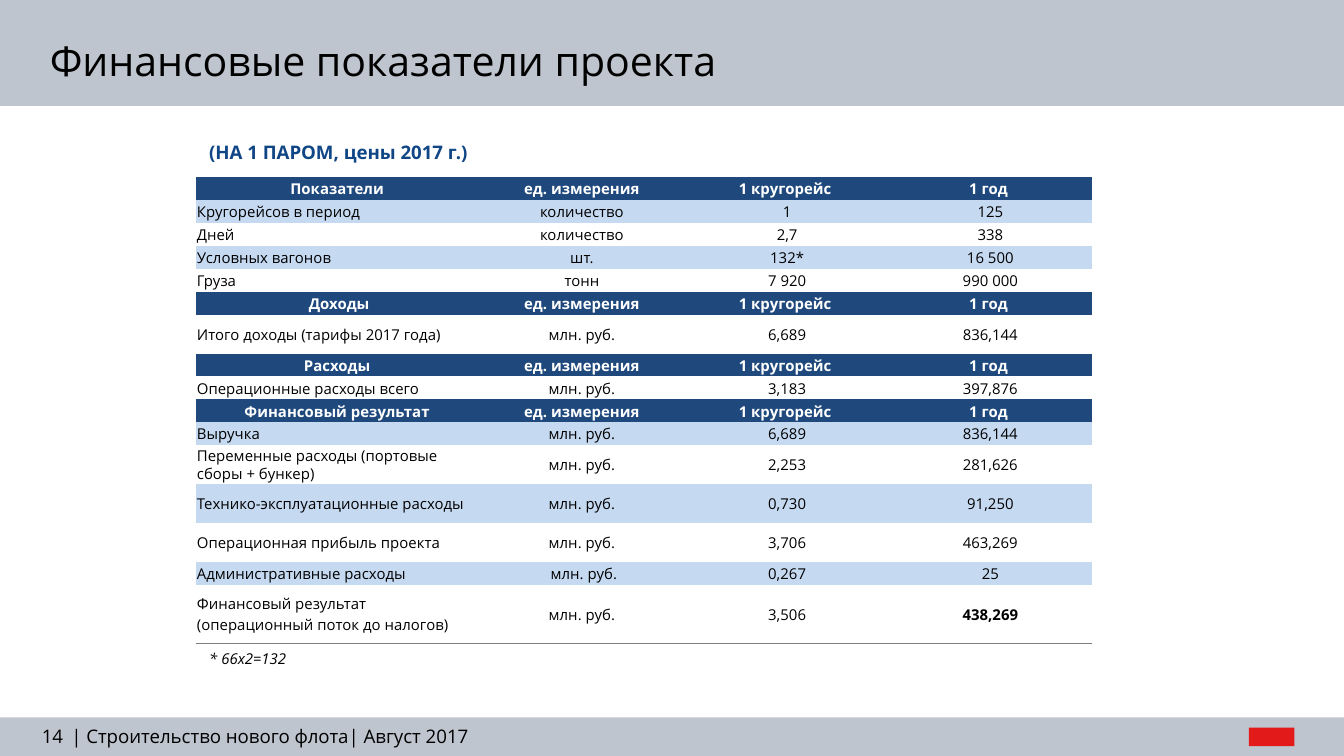
from dataclasses import dataclass

from lxml import etree
from pptx import Presentation
from pptx.dml.color import RGBColor
from pptx.enum.shapes import MSO_SHAPE
from pptx.enum.text import MSO_ANCHOR, PP_ALIGN
from pptx.oxml.ns import qn
from pptx.util import Pt

RECTANGLE = MSO_SHAPE.RECTANGLE
LEFT, CENTER, RIGHT = PP_ALIGN.LEFT, PP_ALIGN.CENTER, PP_ALIGN.RIGHT
TOP, MIDDLE = MSO_ANCHOR.TOP, MSO_ANCHOR.MIDDLE
PLAIN_TABLE_STYLE = "{2D5ABB26-0587-4C30-8999-92F81FD0307C}"


@dataclass(frozen=True)
class Theme:
    font: str = "Open Sans"
    ink: str = "000000"
    white: str = "FFFFFF"
    bar: str = "BFC5CE"
    accent: str = "E21A1A"
    caption: str = "104685"
    header: str = "1F497D"
    band: str = "C5D9F1"
    rule: str = "7F7F7F"
    title_size: float = 22
    body_size: float = 10
    table_size: float = 8
    tight_spacing: float = 0.9


THEME = Theme()
LOW, TALL, TALLEST = 12.3, 20.85, 31.3
COLUMN_WIDTHS = (153.4, 108.9, 108.9, 108.9)
HEADINGS = ("ед. измерения ", "1 кругорейс ", "1 год ")
MONEY = "млн. руб. "

# Each section: heading, then rows of (height, banded, cell texts).
SECTIONS = (
    ("Показатели ", (
        (LOW, True, ("Кругорейсов в период", "количество ", "1", "125")),
        (LOW, False, ("Дней", "количество ", "2,7", "338")),
        (LOW, True, ("Условных вагонов", "шт. ", "132*", "16 500")),
        (LOW, False, ("Груза", "тонн ", "7 920", "990 000")),
    )),
    ("Доходы", (
        (TALL, False, ("Итого доходы (тарифы 2017 года)", MONEY, "6,689", "836,144")),
    )),
    ("Расходы ", (
        (LOW, False, ("Операционные расходы всего", MONEY, "3,183", "397,876")),
    )),
    ("Финансовый результат ", (
        (LOW, True, ("Выручка", MONEY, "6,689", "836,144")),
        (TALL, False, ("Переменные расходы (портовые сборы + бункер)", MONEY,
                       "2,253", "281,626")),
        (TALL, True, ("Технико-эксплуатационные расходы", MONEY, "0,730", "91,250")),
        (TALL, False, ("Операционная прибыль проекта", MONEY, "3,706", "463,269")),
        (LOW, True, ("Административные расходы", "млн. руб.", "0,267", "25")),
        (TALLEST, False, ("Финансовый результат (операционный поток до налогов)", MONEY,
                          "3,506", "438,269")),
    )),
)


def write(para, text, size, color=THEME.ink, align=LEFT, spacing=None, **formats):
    para.alignment = align
    para.line_spacing = spacing
    span = para.add_run()
    span.text = text
    span.font.color.rgb = RGBColor.from_string(color)
    for name, value in {"name": THEME.font, "size": Pt(size), **formats}.items():
        setattr(span.font, name, value)


def add_block(page, box, color):
    block = page.shapes.add_shape(RECTANGLE, *map(Pt, box))
    block.shadow.inherit = False
    block.fill.solid()
    block.fill.fore_color.rgb = RGBColor.from_string(color)
    block.line.fill.background()


def add_text(page, box, text, size, margins=(7.2, 3.6), anchor=MIDDLE, wrap=True, **formats):
    """Place one line of text; margins are the side and the top/bottom insets."""
    frame = page.shapes.add_textbox(*map(Pt, box)).text_frame
    side, edge = map(Pt, margins)
    settings = {"word_wrap": wrap, "vertical_anchor": anchor, "margin_left": side,
                "margin_right": side, "margin_top": edge, "margin_bottom": edge}
    for name, value in settings.items():
        setattr(frame, name, value)
    write(frame.paragraphs[0], text, size, **formats)


def add_header(page, box):
    left, top, width, height = box
    add_block(page, box, THEME.bar)
    add_text(page, (left + 19.6, top, width - 45, height + 8), "Финансовые показатели проекта",
             THEME.title_size)


def add_footer(page, box):
    left, top, width, height = box
    add_block(page, box, THEME.bar)
    add_text(page, (left + 15.8, top + 3.8, 18, 12.2), "14", THEME.body_size,
             margins=(0, 0), align=RIGHT)
    add_text(page, (left + 38.2, top + 4.2, 294, 12.2),
             "| Строительство нового флота| Август 2017", THEME.body_size, margins=(0, 0))
    add_block(page, (left + width - 51, top + 5.5, 24.5, 10), THEME.accent)


def fill_cell(cell, text, fill, **formats):
    settings = {"vertical_anchor": MIDDLE, "margin_left": Pt(0.5), "margin_right": Pt(0.5),
                "margin_top": Pt(0.5), "margin_bottom": 0}
    for name, value in settings.items():
        setattr(cell, name, value)
    if fill:
        cell.fill.solid()
        cell.fill.fore_color.rgb = RGBColor.from_string(fill)
    else:
        cell.fill.background()
    write(cell.text_frame.paragraphs[0], text, THEME.table_size, **formats)


def underline_cell(cell):
    line = etree.Element(qn("a:lnB"), w=str(Pt(0.5)))
    solid = etree.SubElement(line, qn("a:solidFill"))
    etree.SubElement(solid, qn("a:srgbClr"), val=THEME.rule)
    cell._tc.get_or_add_tcPr().insert(0, line)


def table_rows():
    """Yield (height, fill, is_heading, texts) from top to bottom."""
    for heading, rows in SECTIONS:
        yield LOW, THEME.header, True, (heading, *HEADINGS)
        for height, banded, texts in rows:
            yield height, THEME.band if banded else None, False, texts


def add_finance_table(page, left, top):
    """Draw the table; labels in tall rows are set tight so that two lines fit."""
    rows = list(table_rows())
    frame = page.shapes.add_table(len(rows), len(COLUMN_WIDTHS), Pt(left), Pt(top),
                                  Pt(sum(COLUMN_WIDTHS)), Pt(sum(row[0] for row in rows)))
    table = frame.table
    table.first_row = table.horz_banding = False
    table._tbl.tblPr.find(qn("a:tableStyleId")).text = PLAIN_TABLE_STYLE
    for column, width in zip(table.columns, COLUMN_WIDTHS):
        column.width = Pt(width)
    for row, (height, fill, is_heading, texts) in zip(table.rows, rows):
        row.height = Pt(height)
        for index, (cell, text) in enumerate(zip(row.cells, texts)):
            fill_cell(cell, text, fill, bold=is_heading,
                      color=THEME.white if is_heading else THEME.ink,
                      align=CENTER if is_heading or index else LEFT,
                      spacing=THEME.tight_spacing if height == TALL and not index else None)
    last_cells = list(table.rows[len(rows) - 1].cells)
    for cell in last_cells:
        underline_cell(cell)
    last_cells[-1].text_frame.paragraphs[0].runs[0].font.bold = True


def add_finance_region(page, box):
    left, top, width, height = box
    add_text(page, (left, top, 363, 23), "(НА 1 ПАРОМ, цены 2017 г.)", THEME.body_size,
             color=THEME.caption, bold=True, spacing=THEME.tight_spacing)
    add_finance_table(page, left, top + 24.4)
    add_text(page, (left, top + height - 16.6, 64, 17), "* 66x2=132", THEME.table_size,
             anchor=TOP, wrap=False, italic=True)


def main():
    deck = Presentation()
    deck.slide_width, deck.slide_height = Pt(720), Pt(405)
    page = deck.slides.add_slide(deck.slide_layouts[6])
    add_header(page, (0, 0, 720, 56.8))
    add_footer(page, (0, 384.3, 720, 20.7))
    add_finance_region(page, (105, 70.5, 480.1, 290.7))
    deck.save("out.pptx")


if __name__ == "__main__":
    main()
